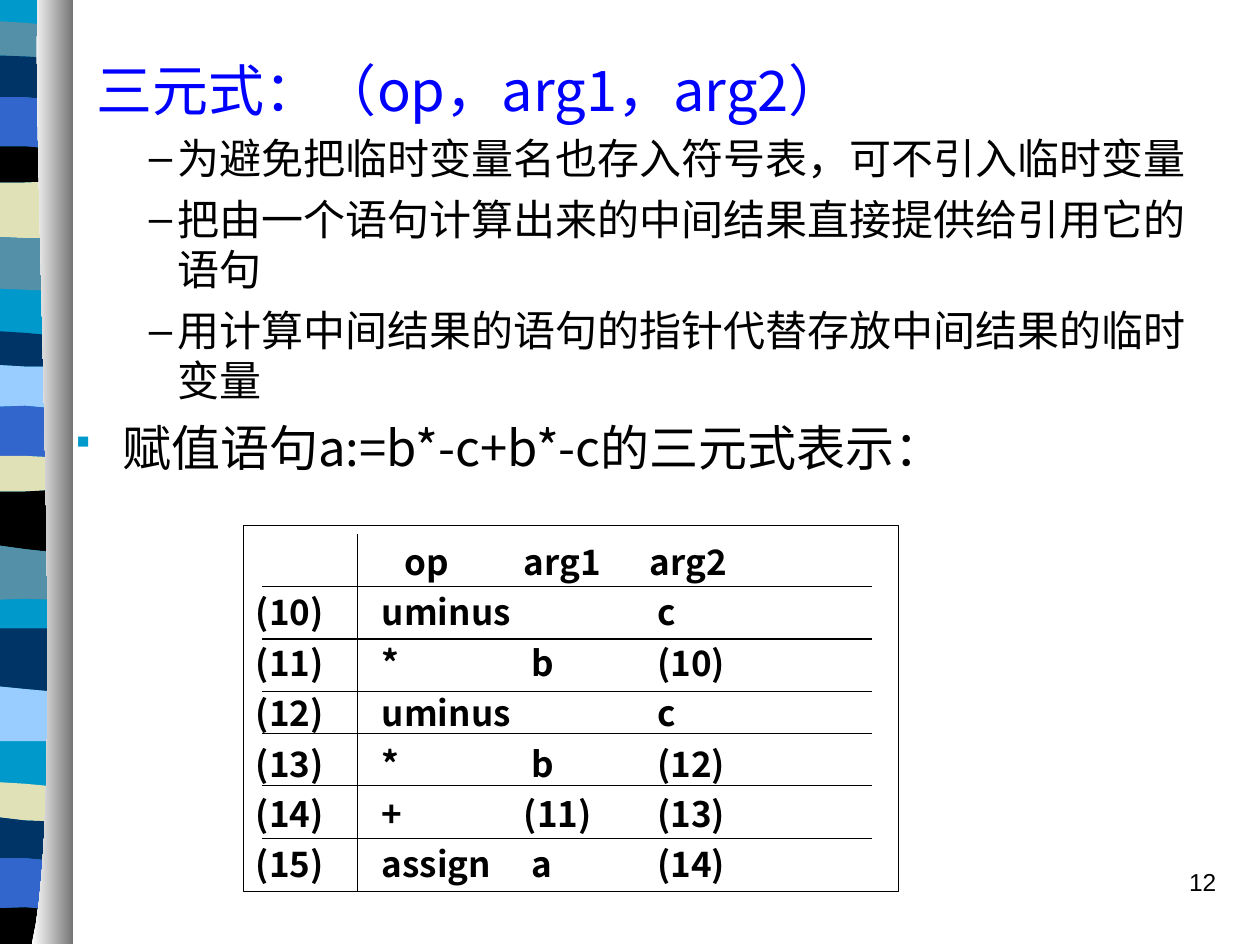
from lxml import etree
from pptx import Presentation
from pptx import util as u
from pptx.dml import color
from pptx.enum import shapes, text
from pptx.oxml import ns

FONT = "Noto Sans CJK SC"
BLACK, BLUE, SKY, STEEL = "000000", "0000FF", "0099CC", "5490A8"
NAVY, ROYAL, PALE, SAND = "003366", "3366CC", "99CCFF", "E1E1B7"


def rgb(value):
    return color.RGBColor.from_string(value)


def add_element(parent, tag, **attributes):
    return etree.SubElement(parent, ns.qn(tag), attributes)


class SlideBuilder:
    line_width = u.Pt(0.75)

    def __init__(self, slide):
        self.slide = slide

    def style(self, paragraph, size, ink=BLACK, bold=False, name=FONT):
        font = paragraph.font
        font.size, font.bold, font.name = u.Pt(size), bold, name
        font.color.rgb = rgb(ink)
        for run in paragraph.runs:
            run.font.name = name
            add_element(run.font._element, "a:ea", typeface=name)

    def paragraphs(self, frame, lines):
        """Yield one filled paragraph for each line."""
        for index, line in enumerate(lines):
            paragraph = frame.add_paragraph() if index else frame.paragraphs[0]
            paragraph.add_run().text = line
            yield paragraph

    def text_box(self, left, top, width, height, anchor=text.MSO_ANCHOR.TOP):
        box = self.slide.shapes.add_textbox(
            u.Cm(left), u.Cm(top), u.Cm(width), u.Cm(height))
        box.text_frame.word_wrap = True
        box.text_frame.vertical_anchor = anchor
        return box.text_frame

    def bullet(self, paragraph, mark, name, ink, size, margin, indent):
        properties = paragraph._p.get_or_add_pPr()
        properties.set("marL", str(u.Cm(margin)))
        properties.set("indent", str(u.Cm(-indent)))
        bullet_color = add_element(properties, "a:buClr")
        add_element(bullet_color, "a:srgbClr", val=ink)
        add_element(properties, "a:buSzPct", val=str(size * 1000))
        add_element(properties, "a:buFont", typeface=name)
        add_element(properties, "a:buChar", char=mark)

    def tabs(self, paragraph, stops):
        tab_list = add_element(paragraph._p.get_or_add_pPr(), "a:tabLst")
        for stop in stops:
            add_element(tab_list, "a:tab", pos=str(u.Cm(stop)), algn="l")

    def frame(self, left, top, width, height):
        shape = self.slide.shapes.add_shape(
            shapes.MSO_SHAPE.RECTANGLE,
            u.Cm(left), u.Cm(top), u.Cm(width), u.Cm(height))
        shape.shadow.inherit = False
        shape.fill.background()
        shape.line.color.rgb = rgb(BLACK)
        shape.line.width = self.line_width
        shape.text_frame.word_wrap = True
        shape.text_frame.vertical_anchor = text.MSO_ANCHOR.MIDDLE
        return shape.text_frame

    def line(self, x1, y1, x2, y2):
        connector = self.slide.shapes.add_connector(
            shapes.MSO_CONNECTOR.STRAIGHT,
            u.Cm(x1), u.Cm(y1), u.Cm(x2), u.Cm(y2))
        connector.line.color.rgb = rgb(BLACK)
        connector.line.width = self.line_width
        add_element(connector._element.spPr, "a:effectLst")

    def outline(self, points, *inks):
        """Closed outline: one colour fills it flat, two shade it sideways."""
        start, *others = [(u.Cm(x), u.Cm(y)) for x, y in points]
        builder = self.slide.shapes.build_freeform(*start)
        builder.add_line_segments(others)
        shape = builder.convert_to_shape()
        shape.shadow.inherit = False
        shape.line.fill.background()
        if len(inks) == 1:
            shape.fill.solid()
            shape.fill.fore_color.rgb = rgb(inks[0])
            return
        shape.fill.gradient()
        shape.fill.gradient_angle = 0
        for stop, ink in zip(shape.fill.gradient_stops, inks):
            stop.color.rgb = rgb(ink)


def bezier(points, steps=24):
    for step in range(steps + 1):
        t = step / steps
        weights = ((1 - t) ** 3, 3 * t * (1 - t) ** 2, 3 * t * t * (1 - t), t ** 3)
        yield tuple(sum(w * p[axis] for w, p in zip(weights, points))
                    for axis in (0, 1))


def band_edge(heights):
    """Edge that runs level beyond its first and last heights."""
    return list(zip(BAND_X, (heights[0], *heights, heights[-1])))


# Band colour and its top edge at the inner three of BAND_X;
# the bands bleed past the slide edge and tuck under the bar
BAND_X = (-1.35, 0, 0.5, 1.05, 1.42)
BOTTOM = 19.03
BAND_END = (BOTTOM,) * 3
BANDS = [
    (SKY, (0, 0, 0)), (STEEL, (0.43, 0.46, 0.51)),
    (NAVY, (1.12, 1.14, 1.17)), (ROYAL, (1.96, 1.96, 2.01)),
    (BLACK, (2.95, 2.95, 3)), (SAND, (3.68, 3.68, 3.66)),
    (STEEL, (4.78, 4.8, 4.8)), (SKY, (5.82, 5.84, 5.87)),
    (NAVY, (6.68, 6.71, 6.76)), (PALE, (7.36, 7.39, 7.39)),
    (ROYAL, (8.2, 8.18, 8.23)), (SAND, (9.19, 9.19, 9.22)),
    (BLACK, (9.91, 9.91, 9.88)), (STEEL, (11, 11.07, 11.13)),
    (SKY, (12.09, 12.07, 12.09)), (NAVY, (12.67, 12.67, 12.67)),
    (PALE, (13.84, 13.89, 13.94)), (SKY, (14.94, 14.94, 14.94)),
    (SAND, (15.77, 15.8, 15.85)), (NAVY, (16.48, 16.54, 16.56)),
    (ROYAL, (17.3, 17.3, 17.35)), (BLACK, (18.31, 18.29, 18.34)),
]
BAR_EDGE = [(0.76, 0), (0.64, 3.18), (1.35, 16.41), (0.64, BOTTOM)]
BAR_RIGHT = 1.47

POINTS = [
    "为避免把临时变量名也存入符号表，可不引入临时变量",
    "把由一个语句计算出来的中间结果直接提供给引用它的语句",
    "用计算中间结果的语句的指针代替存放中间结果的临时变量",
    "赋值语句a:=b*-c+b*-c的三元式表示：",
]

HEADER_TABS, ROW_TABS, SUM_TABS = (3, 5.4, 7.94), (2.54, 5.55, 8.09), (2.54, 5.4, 8.09)
TRIPLES = [
    (("", "op", "arg1", "arg2"), HEADER_TABS),
    (("(10)", "uminus", "", "c"), ROW_TABS),
    (("(11)", "*", "b", "(10)"), ROW_TABS),
    (("(12)", "uminus", "", "c"), ROW_TABS),
    (("(13)", "*", "b", "(12)"), ROW_TABS),
    (("(14)", "+", "(11)", "(13)"), SUM_TABS),
    (("(15)", "assign", "a", "(14)"), ROW_TABS),
]
RULES_Y = (11.82, 12.88, 13.94, 14.78, 15.84, 16.9)


def main():
    presentation = Presentation()
    presentation.slide_width, presentation.slide_height = u.Cm(25.4), u.Cm(19.05)
    builder = SlideBuilder(presentation.slides.add_slide(presentation.slide_layouts[6]))

    # Side band: a sky backdrop shows between the other stripes
    builder.outline(band_edge(BANDS[0][1]) + band_edge(BAND_END)[::-1], SKY)
    bottoms = [top for _, top in BANDS[1:]] + [BAND_END]
    for (ink, top), bottom in zip(BANDS, bottoms):
        if ink != SKY:
            builder.outline(band_edge(top) + band_edge(bottom)[::-1], ink)

    # Shaded bar
    bar = list(bezier(BAR_EDGE)) + [(BAR_RIGHT, BOTTOM), (BAR_RIGHT, 0)]
    builder.outline(bar, "FFFFFF", "767676")

    # Title
    title = builder.text_box(1.7, 0.2, 23.16, 3.18, text.MSO_ANCHOR.MIDDLE)
    for paragraph in builder.paragraphs(title, ["三元式：（op，arg1，arg2）"]):
        builder.style(paragraph, 32, BLUE)

    # Bulleted points, the last one a level higher
    body = builder.text_box(1.27, 2.54, 23.57, 8.26)
    for index, paragraph in enumerate(builder.paragraphs(body, POINTS)):
        is_last = index == len(POINTS) - 1
        if index:
            paragraph.space_before = u.Pt(7 if is_last else 6)
        if is_last:
            builder.bullet(paragraph, "§", "Wingdings", SKY, 70, 0.95, 0.95)
        else:
            builder.bullet(paragraph, "–", "Arial", BLACK, 100, 2.06, 0.58)
        builder.style(paragraph, 28 if is_last else 24)

    # Triples in tabbed columns with rules
    triples = builder.frame(4.91, 10.6, 13.21, 7.37)
    rows = ["\t".join(cells) for cells, _ in TRIPLES]
    for paragraph, (_, stops) in zip(builder.paragraphs(triples, rows), TRIPLES):
        paragraph.alignment = text.PP_ALIGN.LEFT
        paragraph.line_spacing = 1.2
        builder.tabs(paragraph, stops)
        builder.style(paragraph, 20, bold=True)
    for y in RULES_Y:
        builder.line(5.29, y, 17.57, y)
    builder.line(7.2, 10.77, 7.2, 17.96)

    # Page number
    number = builder.text_box(19.48, 17.35, 5.29, 1.27)
    for paragraph in builder.paragraphs(number, ["12"]):
        paragraph.alignment = text.PP_ALIGN.RIGHT
        builder.style(paragraph, 14, name="Arial")

    presentation.save("out.pptx")


if __name__ == "__main__":
    main()
